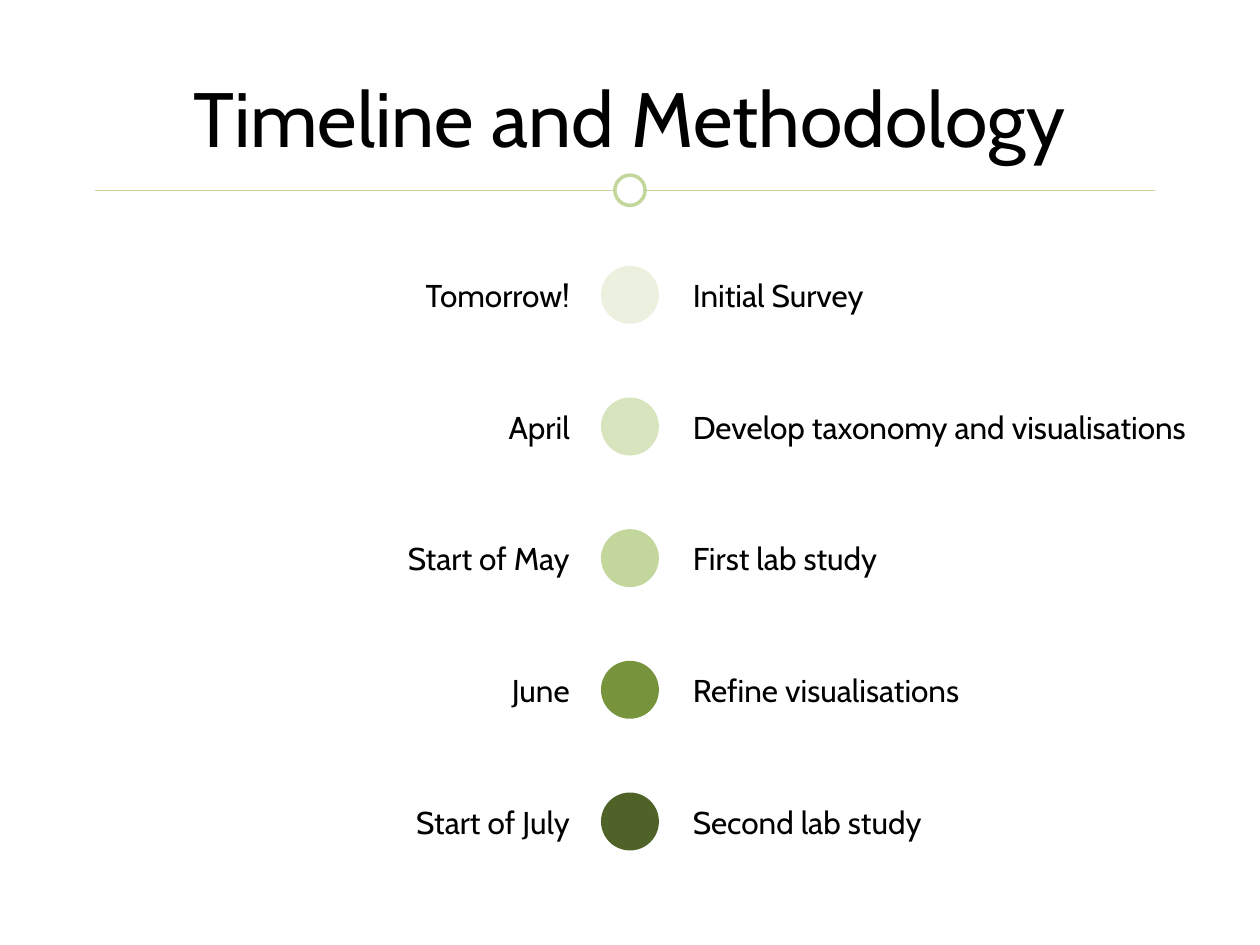
from dataclasses import dataclass

from lxml import etree
from pptx import Presentation
from pptx.dml import color
from pptx.enum import shapes, text
from pptx.oxml import ns
from pptx.util import Inches, Pt


@dataclass(frozen=True)
class Theme:
    font: str = "Cabin"
    ink: str = "000000"
    accent: str = "C3D69B"
    title_size: int = 44
    body_size: int = 18
    ring_width: float = 2
    rule_width: float = 0.75


THEME = Theme()

# date, activity, dot colour
MILESTONES = [
    ("Tomorrow!", "Initial Survey", "EBF1DE"),
    ("April", "Develop taxonomy and visualisations", "D7E4BD"),
    ("Start of May", "First lab study", "C3D69B"),
    ("June", "Refine visualisations", "77933C"),
    ("Start of July", "Second lab study", "4F6228"),
]

CENTRE = 5
RULE_Y = 1.51
RING = 0.24
DOT = 0.46
FIRST_Y = 2.34
STEP = 1.045
LABEL_H = 0.4
DATE_LEFT, DATE_W = 2.81, 1.81
ACTIVITY_LEFT, ACTIVITY_W = 5.4, 4.6


def rgb(value):
    return color.RGBColor.from_string(value)


def add_text(slide, content, left, top, width, height, *,
             size=THEME.body_size, align=text.PP_ALIGN.LEFT):
    box = slide.shapes.add_textbox(
        Inches(left), Inches(top), Inches(width), Inches(height))
    tf = box.text_frame
    tf.word_wrap = True
    tf.vertical_anchor = text.MSO_ANCHOR.MIDDLE
    p = tf.paragraphs[0]
    p.alignment = align
    r = p.add_run()
    r.text = content
    r.font.name = THEME.font
    r.font.size = Pt(size)
    r.font.color.rgb = rgb(THEME.ink)


def add_circle(slide, x, y, diameter, *, fill=None, line=None):
    """Draw a circle centred on x, y."""
    sp = slide.shapes.add_shape(
        shapes.MSO_SHAPE.OVAL, Inches(x - diameter / 2),
        Inches(y - diameter / 2), Inches(diameter), Inches(diameter))
    sp.shadow.inherit = False
    if fill:
        sp.fill.solid()
        sp.fill.fore_color.rgb = rgb(fill)
    else:
        sp.fill.background()
    if line:
        sp.line.color.rgb = rgb(line)
        sp.line.width = Pt(THEME.ring_width)
    else:
        sp.line.fill.background()


def add_rule(slide, start_x, end_x, y):
    rule = slide.shapes.add_connector(
        shapes.MSO_CONNECTOR.STRAIGHT,
        Inches(start_x), Inches(y), Inches(end_x), Inches(y))
    rule.line.color.rgb = rgb(THEME.accent)
    rule.line.width = Pt(THEME.rule_width)
    etree.SubElement(rule._element.spPr, ns.qn("a:effectLst"))


def add_header(slide):
    add_circle(slide, CENTRE, RULE_Y, RING, line=THEME.accent)
    add_rule(slide, CENTRE + RING / 2, 9.17, RULE_Y)
    add_rule(slide, CENTRE - RING / 2, 0.75, RULE_Y)
    add_text(slide, "Timeline and Methodology", 0.5, 0.3, 9, 1.25,
             size=THEME.title_size, align=text.PP_ALIGN.CENTER)


def add_milestone(slide, y, date, activity, fill):
    top = y - LABEL_H / 2
    add_circle(slide, CENTRE, y, DOT, fill=fill)
    add_text(slide, date, DATE_LEFT, top, DATE_W, LABEL_H,
             align=text.PP_ALIGN.RIGHT)
    add_text(slide, activity, ACTIVITY_LEFT, top, ACTIVITY_W, LABEL_H)


def main():
    prs = Presentation()
    prs.slide_width, prs.slide_height = Inches(10), Inches(7.5)
    s = prs.slides.add_slide(prs.slide_layouts[6])
    for i, milestone in enumerate(MILESTONES):
        add_milestone(s, FIRST_Y + i * STEP, *milestone)
    add_header(s)
    prs.save("out.pptx")


if __name__ == "__main__":
    main()
